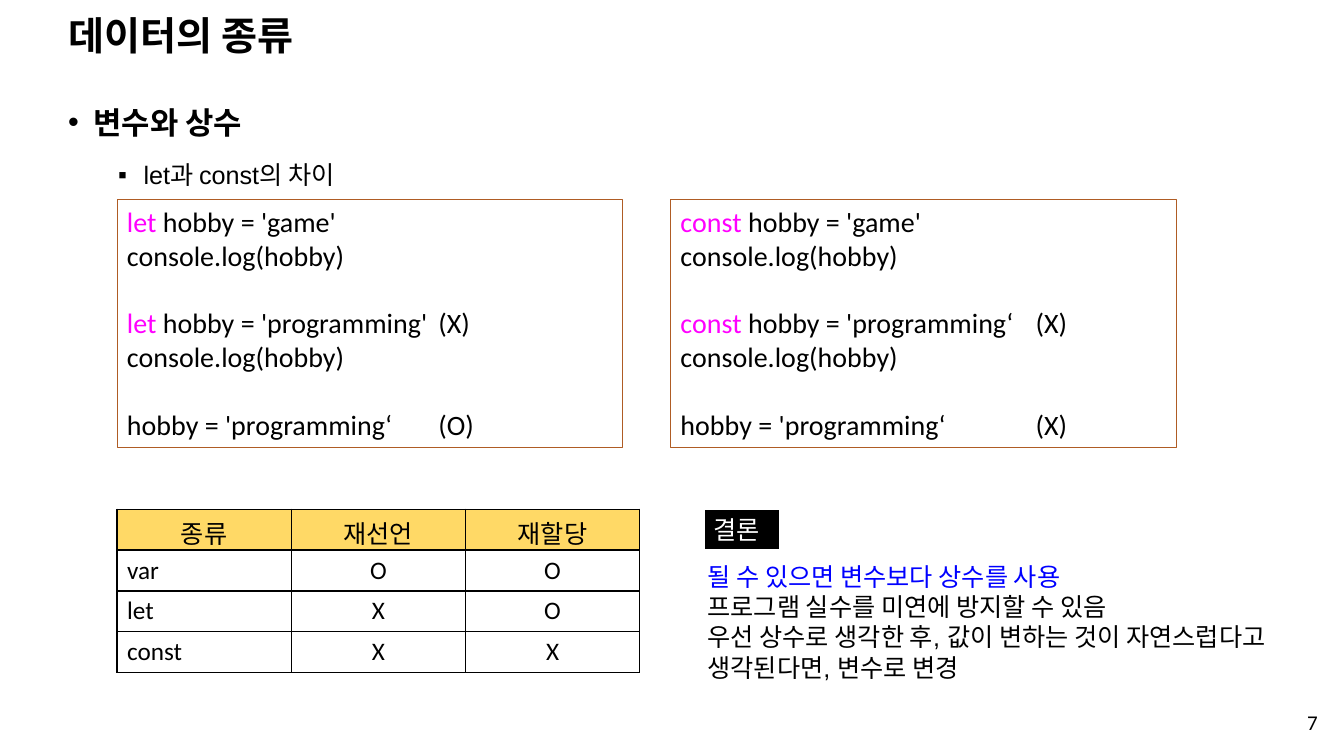
import pptx
import pptx.util
import pptx.dml.color
import pptx.enum.shapes
import pptx.enum.text
import pptx.oxml.ns
import lxml.etree

Cm, Pt = pptx.util.Cm, pptx.util.Pt
ALIGN = pptx.enum.text.PP_ALIGN
MID = pptx.enum.text.MSO_ANCHOR.MIDDLE
RECT = pptx.enum.shapes.MSO_SHAPE.RECTANGLE

# Content
TITLE = "데이터의 종류"
HEAD = "변수와 상수"
SUB = "let과 const의 차이"
PAGE = "7"

# Code boxes: keyword, tab stop in cm, blocks of (keyword first, line)
CODES = [
    ("let", 7.85, [
        [(True, " hobby = 'game'"), (False, "console.log(hobby)")],
        [(True, " hobby = 'programming'\t(X)"), (False, "console.log(hobby)")],
        [(False, "hobby = 'programming‘\t(O)")],
    ]),
    ("const", 8.95, [
        [(True, " hobby = 'game'"), (False, "console.log(hobby)")],
        [(True, " hobby = 'programming‘\t(X)"), (False, "console.log(hobby)")],
        [(False, "hobby = 'programming‘\t(X)")],
    ]),
]
ROWS = [
    ("종류", "재선언", "재할당"),
    ("var", "O", "O"),
    ("let", "X", "O"),
    ("const", "X", "X"),
]
LABEL = "결론"
NOTES = [
    ("될 수 있으면 변수보다 상수를 사용", "0000FF"),
    ("프로그램 실수를 미연에 방지할 수 있음", "000000"),
    ("우선 상수로 생각한 후, 값이 변하는 것이 자연스럽다고 "
     "생각된다면, 변수로 변경", "000000"),
]

# Layout in cm
LEFT, CODE_TOP, CODE_W, CODE_H, STEP = 2.95, 5.03, 12.75, 6.25, 13.95
GRID_TOP, COL_W, ROW_H = 12.83, 4.39, 1.03


def rgb(code):
    return pptx.dml.color.RGBColor.from_string(code)


def child(node, tag, **attrs):
    return lxml.etree.SubElement(node, pptx.oxml.ns.qn(tag), attrs)


def write(frame, text, size=18, font="Calibri", color="000000", bold=False,
          align=ALIGN.LEFT, lead="", before=0, lines=None, indent=0,
          hang=0, mark="", tab=0):
    """Add one paragraph, using the first one while it is still empty."""
    para = frame.paragraphs[-1]
    if para.runs:
        para = frame.add_paragraph()
    para.alignment = align
    para.space_before = Pt(before)
    if lines:
        para.line_spacing = lines
    props = para._p.get_or_add_pPr()
    if indent:
        props.set("marL", str(Cm(indent)))
        props.set("indent", str(-Cm(hang)))
    if mark:
        child(props, "a:buFont", typeface="Arial")
        child(props, "a:buChar", char=mark)
    if tab:
        stops = child(props, "a:tabLst")
        child(stops, "a:tab", pos=str(Cm(tab)), algn="l")
    for part, tint in ((lead, "FF00FF"), (text, color)):
        if part:
            run = para.add_run()
            run.text = part
            run.font.size, run.font.name = Pt(size), font
            run.font.bold, run.font.color.rgb = bold, rgb(tint)


def text_box(x, y, w, h, anchor=None):
    frame = slide.shapes.add_textbox(Cm(x), Cm(y), Cm(w), Cm(h)).text_frame
    frame.word_wrap = True
    if anchor is not None:
        frame.vertical_anchor = anchor
    return frame


def box(x, y, w, h, line, width, fill=None):
    shape = slide.shapes.add_shape(RECT, Cm(x), Cm(y), Cm(w), Cm(h))
    shape.shadow.inherit = False
    if fill:
        shape.fill.solid()
        shape.fill.fore_color.rgb = rgb(fill)
    else:
        shape.fill.background()
    shape.line.color.rgb, shape.line.width = rgb(line), Pt(width)
    shape.text_frame.vertical_anchor = pptx.enum.text.MSO_ANCHOR.TOP
    shape.text_frame.word_wrap = True
    return shape.text_frame


def paint(cell, fill):
    """Black border on all sides, then the fill."""
    props = cell._tc.get_or_add_tcPr()
    for side in ("a:lnL", "a:lnR", "a:lnT", "a:lnB"):
        edge = child(props, side, w=str(Pt(1)))
        child(child(edge, "a:solidFill"), "a:srgbClr", val="000000")
    if fill:
        cell.fill.solid()
        cell.fill.fore_color.rgb = rgb(fill)
    else:
        cell.fill.background()


deck = pptx.Presentation()
deck.slide_width, deck.slide_height = Cm(33.87), Cm(19.05)
slide = deck.slides.add_slide(deck.slide_layouts[6])

# Title, outline and page number
write(text_box(1.47, 0.46, 29.2, 0.97, MID), TITLE, size=28, font="Arial",
      bold=True, lines=0.9)
body = text_box(1.47, 2.11, 30.84, 15.95)
write(body, HEAD, size=22, font="Arial", bold=True, lines=1.4, before=10,
      indent=0.64, hang=0.64, mark="•")
write(body, SUB, font="Arial", lines=1.4, before=5,
      indent=1.9, hang=0.64, mark="▪")
write(text_box(23.93, 17.65, 9.53, 1.07, MID), PAGE, size=15,
      align=ALIGN.RIGHT)

# Code boxes
for i, (word, tab, blocks) in enumerate(CODES):
    frame = box(LEFT + i * STEP, CODE_TOP, CODE_W, CODE_H, "AF5C24", 0.75)
    for b, block in enumerate(blocks):
        for n, (keyed, line) in enumerate(block):
            write(frame, line, size=20, lead=word if keyed else "", tab=tab,
                  before=24.4 if b and not n else 0)

# Table
grid = slide.shapes.add_table(
    len(ROWS), 3, Cm(LEFT), Cm(GRID_TOP),
    Cm(3 * COL_W), Cm(len(ROWS) * ROW_H)).table
for col in grid.columns:
    col.width = Cm(COL_W)
for r, row in enumerate(ROWS):
    grid.rows[r].height = Cm(ROW_H)
    for c, text in enumerate(row):
        cell = grid.cell(r, c)
        paint(cell, None if r else "FFD966")
        write(cell.text_frame, text,
              align=ALIGN.LEFT if r and not c else ALIGN.CENTER)

# Conclusion
notes = text_box(16.31, 14.02, 17.73, 3.33)
for text, color in NOTES:
    write(notes, text, font="Arial", color=color, indent=1.27)
label = box(17.73, GRID_TOP, 1.93, 1.02, "FFFFFF", 1.5, "000000")
label.word_wrap = False
write(label, LABEL, color="FFFFFF")

deck.save("out.pptx")
